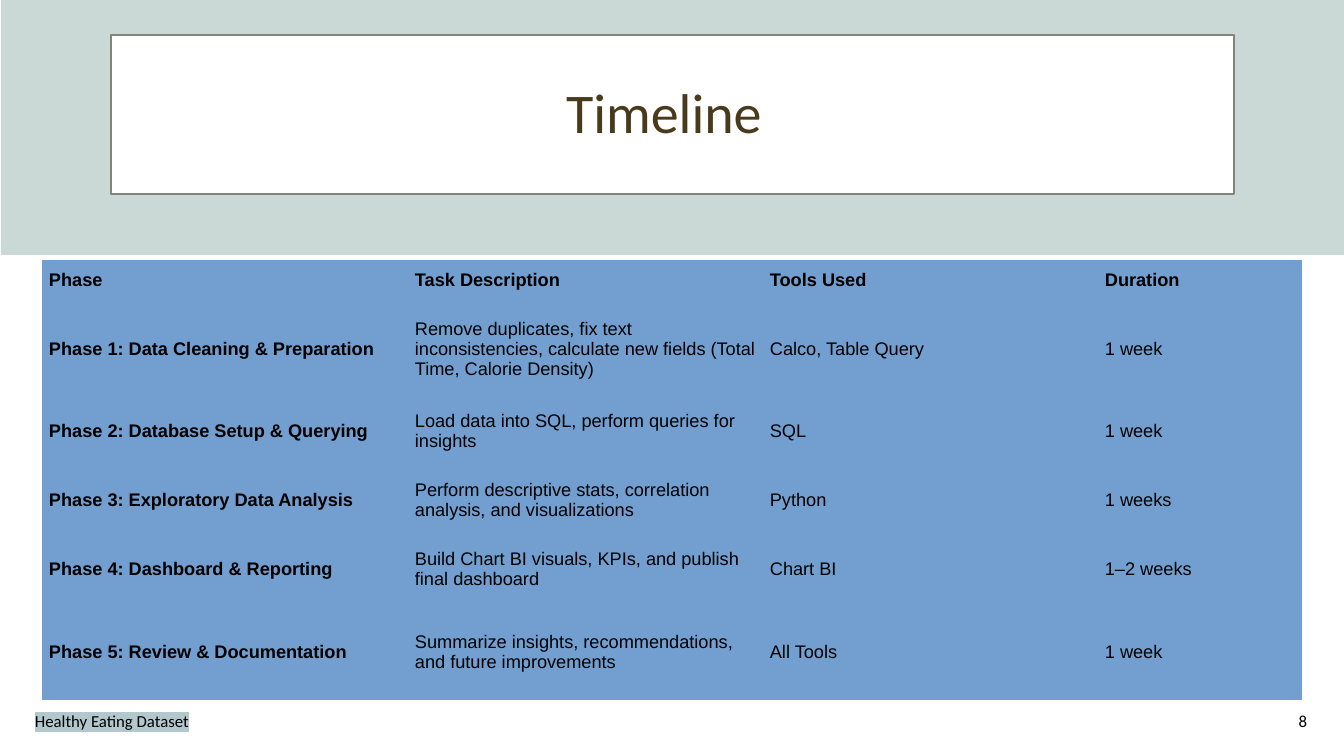
"""Builds the project timeline slide with its table of phases."""
import lxml.etree
import pptx
import pptx.dml.color
import pptx.enum.shapes
import pptx.enum.text
import pptx.oxml.ns
import pptx.util

PX = 914400 / 100.8
SAGE = pptx.dml.color.RGBColor(0xCA, 0xD8, 0xD6)
MOSS = pptx.dml.color.RGBColor(0x7E, 0x86, 0x79)
BROWN = pptx.dml.color.RGBColor(0x4A, 0x3A, 0x1C)
BLUE = pptx.dml.color.RGBColor(0x72, 0x9F, 0xCF)
MIST = pptx.dml.color.RGBColor(0xB2, 0xC8, 0xCD)
WHITE = pptx.dml.color.RGBColor(0xFF, 0xFF, 0xFF)
BLACK = pptx.dml.color.RGBColor(0, 0, 0)
ALIGN = pptx.enum.text.PP_ALIGN
MIDDLE = pptx.enum.text.MSO_ANCHOR.MIDDLE
NO_GRID_STYLE = "{2D5ABB26-0587-4C30-8999-92F81FD0307C}"

COLUMN_WIDTHS = [366, 355, 335, 204]
ROW_HEIGHTS = [41, 96, 69, 69, 69, 96]
PHASES = [
    ["Phase", "Task Description", "Tools Used", "Duration"],
    ["Phase 1: Data Cleaning & Preparation",
     "Remove duplicates, fix text inconsistencies, calculate new fields "
     "(Total Time, Calorie Density)", "Calco, Table Query", "1 week"],
    ["Phase 2: Database Setup & Querying",
     "Load data into SQL, perform queries for insights", "SQL", "1 week"],
    ["Phase 3: Exploratory Data Analysis",
     "Perform descriptive stats, correlation analysis, and visualizations",
     "Python", "1 weeks"],
    ["Phase 4: Dashboard & Reporting",
     "Build Chart BI visuals, KPIs, and publish final dashboard",
     "Chart BI", "1–2 weeks"],
    ["Phase 5: Review & Documentation",
     "Summarize insights, recommendations, and future improvements",
     "All Tools", "1 week"],
]


def px(length):
    """Turn px into EMU."""
    return pptx.util.Emu(round(length * PX))


def style_font(paragraph, name, size, color, bold=False):
    """Set the font of a whole paragraph."""
    font = paragraph.font
    font.name, font.size, font.bold = name, pptx.util.Pt(size), bold
    font.color.rgb = color


def add_panel(slide, left, top, width, height, fill, outline=None):
    """Add a flat rectangle with an optional outline."""
    panel = slide.shapes.add_shape(
        pptx.enum.shapes.MSO_SHAPE.RECTANGLE,
        px(left), px(top), px(width), px(height))
    panel.shadow.inherit = False
    panel.fill.solid()
    panel.fill.fore_color.rgb = fill
    if outline is None:
        panel.line.fill.background()
    else:
        panel.line.color.rgb = outline
        panel.line.width = pptx.util.Pt(1)


def add_label(slide, left, top, width, height, text, size, color, align):
    """Add one line of vertically centred text and return its box."""
    label = slide.shapes.add_textbox(px(left), px(top), px(width), px(height))
    frame = label.text_frame
    frame.word_wrap = True
    frame.vertical_anchor = MIDDLE
    paragraph = frame.paragraphs[0]
    paragraph.text = text
    paragraph.alignment = align
    style_font(paragraph, "Calibri", size, color)
    return label


def highlight(label, color):
    """Put a highlight colour behind the text of a label."""
    qn = pptx.oxml.ns.qn
    for run in label.element.iter(qn("a:r")):
        mark = lxml.etree.SubElement(run.get_or_add_rPr(), qn("a:highlight"))
        lxml.etree.SubElement(mark, qn("a:srgbClr"), val=str(color))


def fill_cell(cell, text, bold):
    """Write and style one table cell."""
    cell.text = text
    cell.vertical_anchor = MIDDLE
    cell.margin_left = cell.margin_right = px(7)
    cell.margin_top = cell.margin_bottom = px(5)
    cell.fill.solid()
    cell.fill.fore_color.rgb = BLUE
    style_font(cell.text_frame.paragraphs[0], "Arial", 13, BLACK, bold)


def add_phase_table(slide, left, top):
    """Add the table of phases with bold headings in its first row and column."""
    holder = slide.shapes.add_table(
        len(ROW_HEIGHTS), len(COLUMN_WIDTHS), px(left), px(top),
        px(sum(COLUMN_WIDTHS)), px(sum(ROW_HEIGHTS)))
    for style in holder.element.iter(pptx.oxml.ns.qn("a:tableStyleId")):
        style.text = NO_GRID_STYLE
    table = holder.table
    table.first_row = table.horz_banding = False
    for column, width in zip(table.columns, COLUMN_WIDTHS):
        column.width = px(width)
    for r, (height, phase) in enumerate(zip(ROW_HEIGHTS, PHASES)):
        table.rows[r].height = px(height)
        for c, text in enumerate(phase):
            fill_cell(table.cell(r, c), text, r == 0 or c == 0)


def main():
    """Build and save the slide."""
    deck = pptx.Presentation()
    deck.slide_width, deck.slide_height = px(1344), px(756)
    slide = deck.slides.add_slide(deck.slide_layouts[6])

    add_panel(slide, 1, 0, 1343, 255, SAGE)
    add_panel(slide, 111, 35, 1123, 159, WHITE, MOSS)
    title = add_label(slide, 42, 42, 1260, 146, "Timeline", 40, BROWN, ALIGN.CENTER)
    title.text_frame.margin_right = px(26)
    title.text_frame.paragraphs[0].line_spacing = 0.9

    footer = add_label(slide, 25, 701, 454, 40, "Healthy Eating Dataset",
                       12, BLACK, ALIGN.LEFT)
    highlight(footer, MIST)
    add_label(slide, 1015, 701, 302, 40, "8", 12, BLACK, ALIGN.RIGHT)
    add_phase_table(slide, 42, 260)
    deck.save("out.pptx")


if __name__ == "__main__":
    main()
